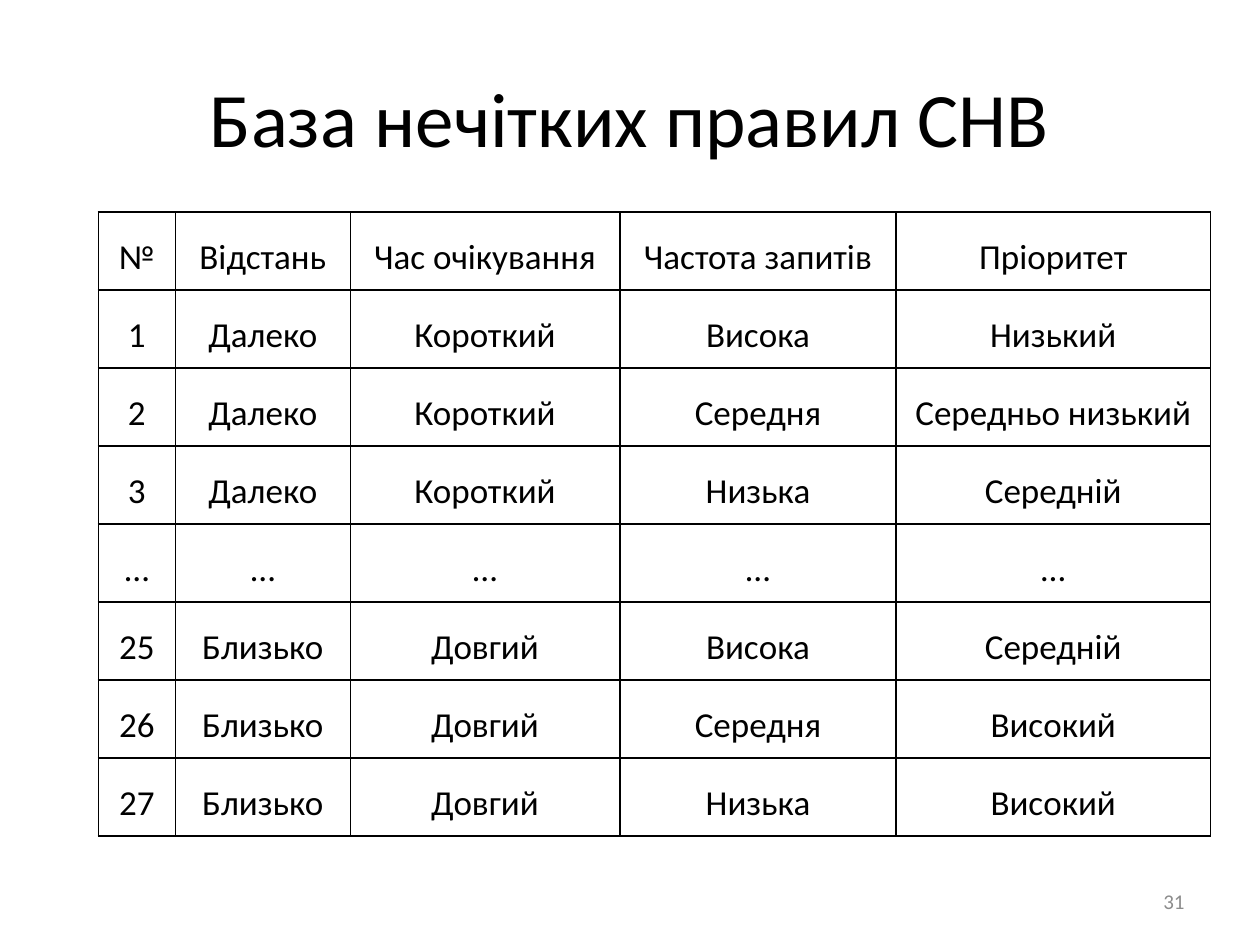
from lxml import etree
from pptx import Presentation
from pptx.dml.color import RGBColor
from pptx.enum.text import MSO_ANCHOR, PP_ALIGN
from pptx.oxml.ns import qn
from pptx.util import Pt

MIDDLE = MSO_ANCHOR.MIDDLE
CENTER, RIGHT = PP_ALIGN.CENTER, PP_ALIGN.RIGHT
TITLE_ONLY = 5
BLACK, GRAY = "000000", "8C8C8C"
FONT = "Calibri"
BORDER_WIDTH = Pt(1)

COLUMN_WIDTHS = [44, 100, 154, 158, 179.5]
RULES = [
    ["№", "Відстань", "Час очікування", "Частота запитів", "Пріоритет"],
    ["1", "Далеко", "Короткий", "Висока", "Низький"],
    ["2", "Далеко", "Короткий", "Середня", "Середньо низький"],
    ["3", "Далеко", "Короткий", "Низька", "Середній"],
    ["…"] * 5,
    ["25", "Близько", "Довгий", "Висока", "Середній"],
    ["26", "Близько", "Довгий", "Середня", "Високий"],
    ["27", "Близько", "Довгий", "Низька", "Високий"],
]


def color(hex_value):
    return RGBColor.from_string(hex_value)


def write(frame, text, size, hex_value=BLACK, align=CENTER, spacing=None):
    frame.word_wrap = True
    paragraph = frame.paragraphs[0]
    paragraph.alignment = align
    if spacing:
        paragraph.line_spacing = spacing
    run = paragraph.add_run()
    run.text = text
    run.font.name = FONT
    run.font.size = Pt(size)
    run.font.color.rgb = color(hex_value)


def draw_borders(cell, hex_value=BLACK):
    properties = cell._tc.get_or_add_tcPr()
    for index, side in enumerate(("a:lnL", "a:lnR", "a:lnT", "a:lnB")):
        line = etree.Element(qn(side), w=str(BORDER_WIDTH))
        fill = etree.SubElement(line, qn("a:solidFill"))
        etree.SubElement(fill, qn("a:srgbClr"), val=hex_value)
        properties.insert(index, line)


def place_title(slide, left, top, width, height):
    title = slide.shapes.title
    title.left, title.top = Pt(left), Pt(top)
    title.width, title.height = Pt(width), Pt(height)
    title.text_frame.vertical_anchor = MIDDLE
    write(title.text_frame, "База нечітких правил СНВ", 44)


def place_rules(slide, left, top, width, height):
    table = slide.shapes.add_table(
        len(RULES), len(COLUMN_WIDTHS), Pt(left), Pt(top), Pt(width), Pt(height)
    ).table
    table.first_row = table.horz_banding = False
    for column, share in zip(table.columns, COLUMN_WIDTHS):
        column.width = Pt(width * share / sum(COLUMN_WIDTHS))
    for row, values in zip(table.rows, RULES):
        row.height = Pt(height / len(RULES))
        for cell, value in zip(row.cells, values):
            cell.fill.background()
            cell.vertical_anchor = MIDDLE
            cell.margin_left = cell.margin_right = Pt(3)
            cell.margin_top = cell.margin_bottom = Pt(0)
            write(cell.text_frame, value, 20, spacing=1.3)
            draw_borders(cell)


def place_page_number(slide, left, top, width, height):
    page_number = slide.shapes.add_textbox(Pt(left), Pt(top), Pt(width), Pt(height))
    page_number.text_frame.vertical_anchor = MIDDLE
    write(page_number.text_frame, "31", 12, GRAY, RIGHT)


def main():
    deck = Presentation()
    deck.slide_width, deck.slide_height = Pt(720), Pt(540)
    slide = deck.slides.add_slide(deck.slide_layouts[TITLE_ONLY])
    place_title(slide, 36, 21.6, 648, 90)
    place_rules(slide, 56.2, 121, 635.5, 356.8)
    place_page_number(slide, 516, 500.5, 168, 28.75)
    deck.save("out.pptx")


if __name__ == "__main__":
    main()
